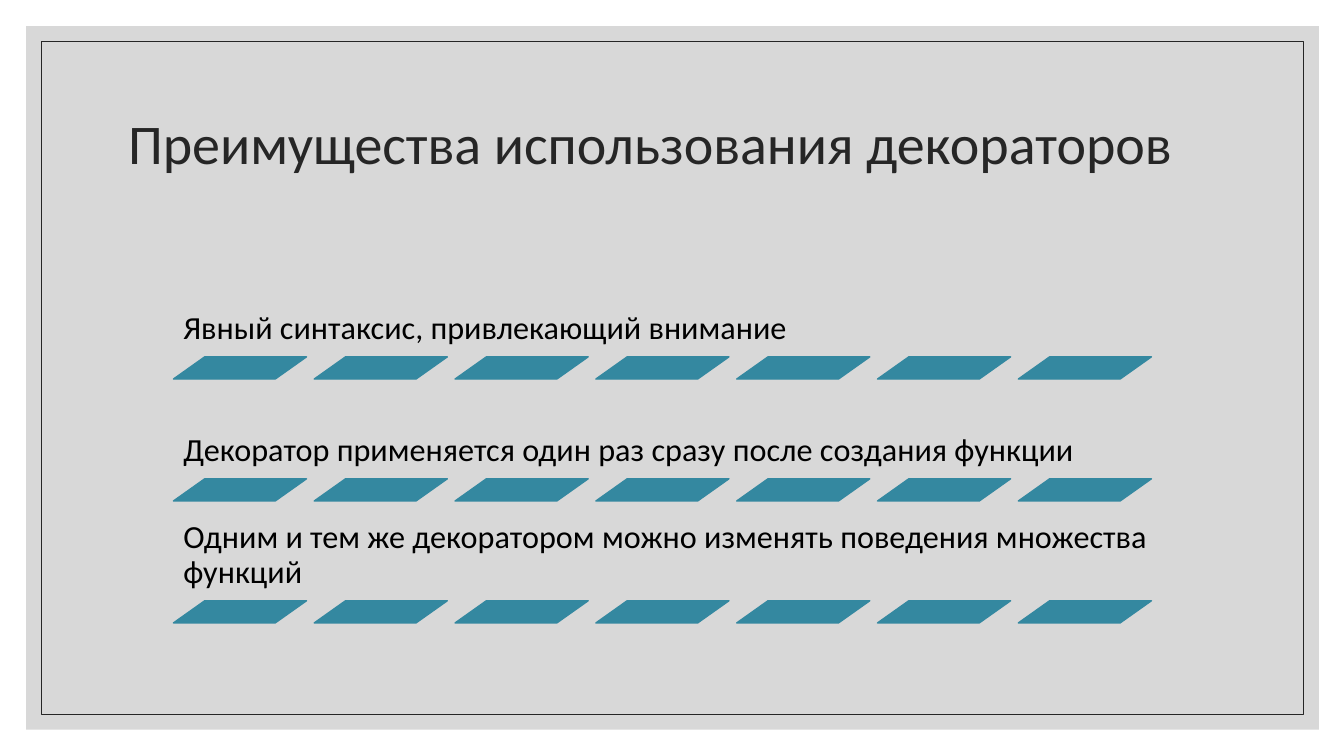
"""Build a slide listing the advantages of using decorators."""

from dataclasses import dataclass

import pptx
import pptx.dml.color
import pptx.enum.shapes
import pptx.enum.text
import pptx.oxml
import pptx.oxml.ns
import pptx.shapes.autoshape
import pptx.slide
import pptx.text.text
import pptx.util

Inches = pptx.util.Inches
Preset = pptx.enum.shapes.MSO_SHAPE
Anchor = pptx.enum.text.MSO_ANCHOR

COLORS = {
    "panel": "BFBFBF",
    "frame": "262626",
    "title": "262626",
    "text": "000000",
    "bar": "3488A0",
}
FONT = "Calibri"
PANEL_OPACITY = 60
TITLE = "Преимущества использования декораторов"
ADVANTAGES = (
    "Явный синтаксис, привлекающий внимание",
    "Декоратор применяется один раз сразу после создания функции",
    "Одним и тем же декоратором можно изменять поведения множества функций",
)
LIST_LEFT = 1.72
LIST_TOP = 2.64
ROW_STEP = 1.21
LABEL_WIDTH = 9.9
LABEL_HEIGHT = 0.9
BAR_COUNT = 7
BAR_WIDTH = 1.32
BAR_HEIGHT = 0.22
BAR_SLANT = 1.41
LAST_BAR_LEFT = 10.1
BAR_STEP = (LAST_BAR_LEFT - LIST_LEFT) / (BAR_COUNT - 1)


@dataclass(frozen=True)
class Box:
    """A rectangular area, in inches."""

    left: float
    top: float
    width: float
    height: float

    def lengths(self) -> tuple[pptx.util.Length, ...]:
        """Return left, top, width and height as lengths."""
        return tuple(
            Inches(value) for value in (self.left, self.top, self.width, self.height)
        )


@dataclass(frozen=True)
class Advantage:
    """One advantage with the top of its label."""

    text: str
    top: float


def color(name: str) -> pptx.dml.color.RGBColor:
    """Return a palette colour."""
    return pptx.dml.color.RGBColor.from_string(COLORS[name])


def draw_shape(
    slide: pptx.slide.Slide,
    preset: Preset,
    box: Box,
    fill: str | None = None,
    line: str | None = None,
    line_width: float = 1,
) -> pptx.shapes.autoshape.Shape:
    """Draw a preset shape with an optional fill and outline."""
    shape = slide.shapes.add_shape(preset, *box.lengths())
    shape.shadow.inherit = False
    if fill:
        shape.fill.solid()
        shape.fill.fore_color.rgb = color(fill)
    else:
        shape.fill.background()
    if line:
        shape.line.color.rgb = color(line)
        shape.line.width = pptx.util.Pt(line_width)
    else:
        shape.line.fill.background()
    return shape


def write_text(
    text_frame: pptx.text.text.TextFrame,
    text: str,
    size: float,
    color_name: str,
    anchor: Anchor,
) -> None:
    """Write one left-aligned paragraph and format it."""
    text_frame.text = text
    text_frame.word_wrap = True
    text_frame.auto_size = pptx.enum.text.MSO_AUTO_SIZE.NONE
    text_frame.vertical_anchor = anchor
    paragraph = text_frame.paragraphs[0]
    paragraph.alignment = pptx.enum.text.PP_ALIGN.LEFT
    paragraph.line_spacing = 0.9
    font = paragraph.runs[0].font
    font.name = FONT
    font.size = pptx.util.Pt(size)
    font.color.rgb = color(color_name)


def draw_background(slide: pptx.slide.Slide) -> None:
    """Draw the translucent panel and the thin frame inside it."""
    panel = draw_shape(
        slide, Preset.RECTANGLE, Box(0.26, 0.26, 12.82, 6.98), fill="panel"
    )
    panel_color = panel._element.spPr.find(
        f".//{pptx.oxml.ns.qn('a:srgbClr')}"
    )
    alpha = pptx.oxml.parse_xml(
        f'<a:alpha {pptx.oxml.ns.nsdecls("a")} val="{PANEL_OPACITY * 1000}"/>'
    )
    panel_color.append(alpha)
    draw_shape(
        slide,
        Preset.RECTANGLE,
        Box(0.41, 0.41, 12.52, 6.68),
        line="frame",
        line_width=0.5,
    )


def place_title(slide: pptx.slide.Slide) -> None:
    """Fill the title placeholder and bring it in front of the panel."""
    title = slide.shapes.title
    title.left, title.top, title.width, title.height = Box(
        1.17, 0.7, 11, 1.5
    ).lengths()
    write_text(title.text_frame, TITLE, 40, "title", Anchor.MIDDLE)
    slide.shapes._spTree.append(title._element)


def draw_advantage(slide: pptx.slide.Slide, advantage: Advantage) -> None:
    """Draw a label underlined by a row of slanted bars."""
    label_box = Box(LIST_LEFT, advantage.top, LABEL_WIDTH, LABEL_HEIGHT)
    text_frame = slide.shapes.add_textbox(*label_box.lengths()).text_frame
    text_frame.margin_left = text_frame.margin_right = Inches(0.1)
    text_frame.margin_top = text_frame.margin_bottom = Inches(0.1)
    write_text(text_frame, advantage.text, 23, "text", Anchor.BOTTOM)
    for index in range(BAR_COUNT):
        bar_box = Box(
            LIST_LEFT + index * BAR_STEP,
            advantage.top + LABEL_HEIGHT,
            BAR_WIDTH,
            BAR_HEIGHT,
        )
        bar = draw_shape(slide, Preset.PARALLELOGRAM, bar_box, "bar", "bar")
        bar.adjustments[0] = BAR_SLANT


def main() -> None:
    """Build and save the presentation."""
    presentation = pptx.Presentation()
    presentation.slide_width = Inches(13.33)
    presentation.slide_height = Inches(7.5)
    title_only = presentation.slide_layouts.get_by_name("Title Only")
    slide = presentation.slides.add_slide(title_only)
    draw_background(slide)
    place_title(slide)
    for row, text in enumerate(ADVANTAGES):
        draw_advantage(slide, Advantage(text, LIST_TOP + row * ROW_STEP))
    presentation.save("out.pptx")


main()
